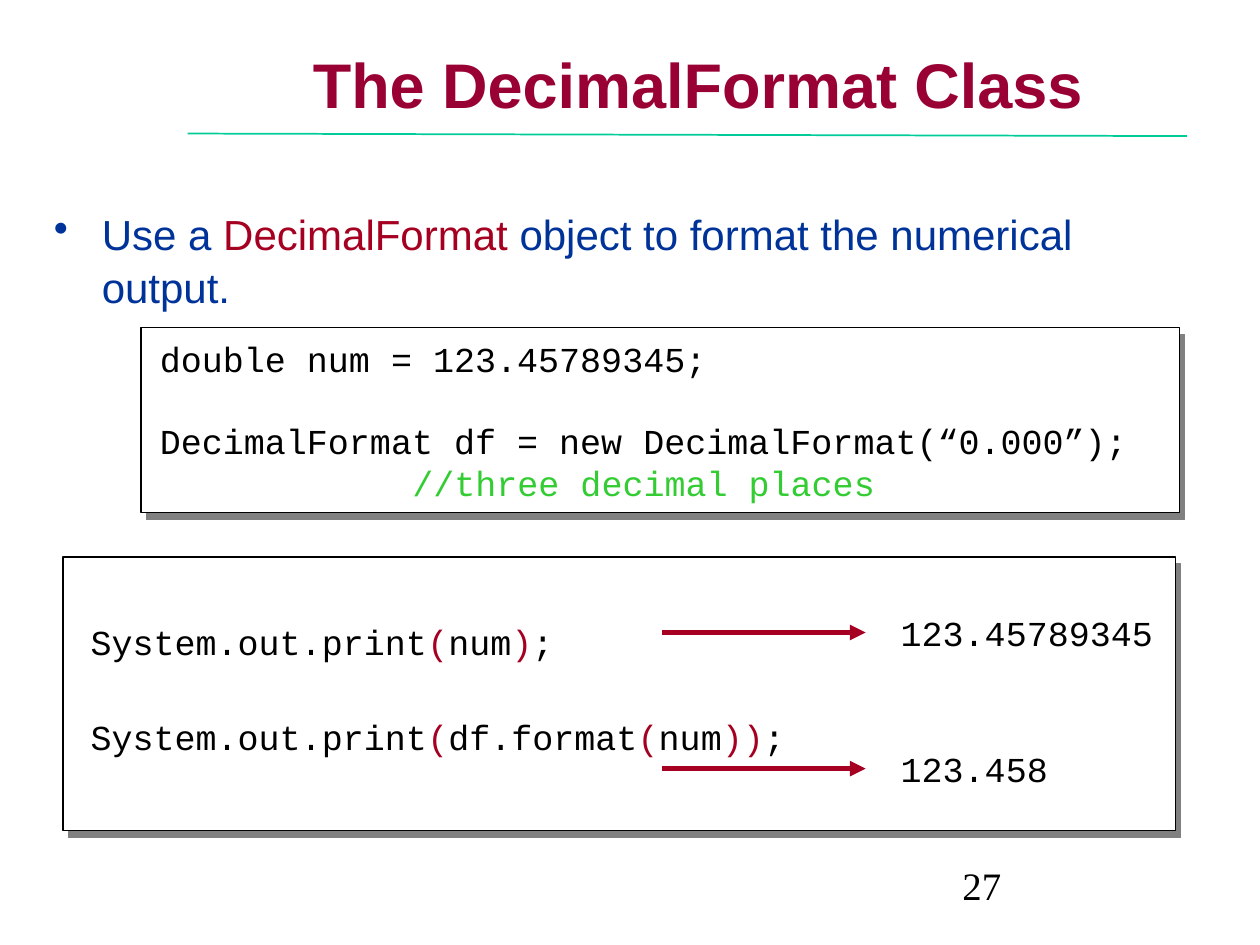
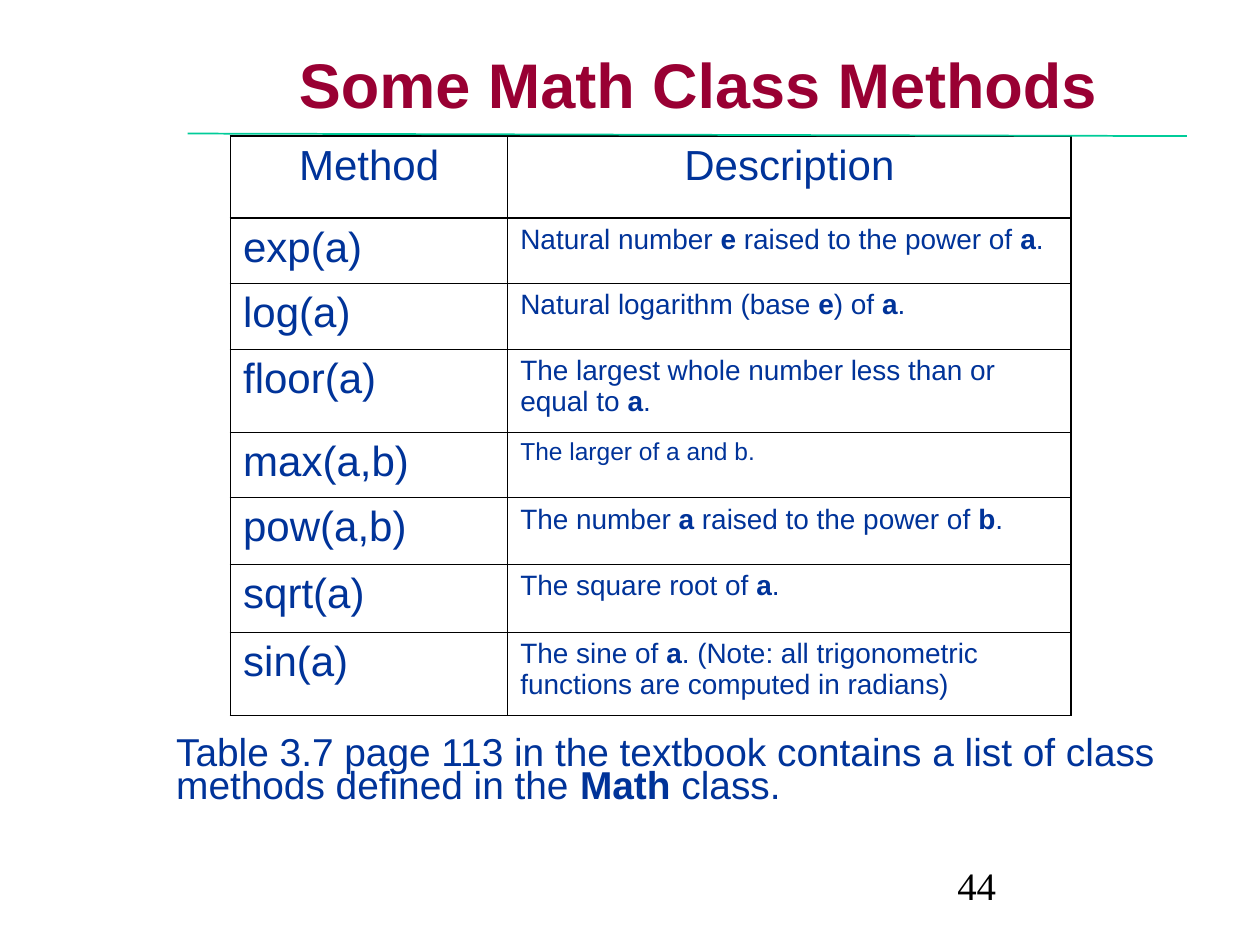
from dataclasses import dataclass

from lxml import etree
from pptx import Presentation
from pptx import util as u
from pptx.dml.color import RGBColor
from pptx.enum import shapes, text
from pptx.oxml import ns

Inches = u.Inches


@dataclass(frozen=True)
class Theme:
    ink: str = "000000"
    paper: str = "FFFFFF"
    title: str = "990033"
    body: str = "003399"
    accent: str = "A50021"
    comment: str = "33CC33"
    rule: str = "00CC99"
    shadow: str = "808080"
    sans: str = "Arial"
    mono: str = "Courier New"
    serif: str = "Times New Roman"
    title_size: float = 36
    body_size: float = 24
    note_size: float = 22.2
    code_size: float = 20
    cell_size: float = 16
    small_size: float = 14
    outer_border: float = 1.08
    inner_border: float = 0.45
    header_border: float = 1.47


def rgb(value):
    return RGBColor.from_string(value)


def add_xml(parent, tag, **attrs):
    return etree.SubElement(parent, ns.qn(tag), attrs)


class Deck:
    def __init__(self, prs, theme):
        self.prs = prs
        self.t = theme
        self.s = None

    def slide(self, title):
        self.s = self.prs.slides.add_slide(self.prs.slide_layouts[5])
        sp = self.s.shapes.title
        sp.left, sp.top = Inches(1.5), Inches(0.25)
        sp.width, sp.height = Inches(8.08), Inches(0.83)
        tf = sp.text_frame
        tf.auto_size = text.MSO_AUTO_SIZE.NONE
        tf.vertical_anchor = text.MSO_ANCHOR.MIDDLE
        p = tf.paragraphs[0]
        p.alignment = text.PP_ALIGN.CENTER
        self.run(p, title, self.t.sans, self.t.title_size, self.t.title, True)

    def run(self, p, words, font, size, color, bold=False):
        r = p.add_run()
        r.text = words
        r.font.name = font
        r.font.size = u.Pt(size)
        r.font.bold = bold
        r.font.color.rgb = rgb(color)

    def runs(self, p, line, font, size, color, accent=None):
        for i, words in enumerate(line.split("|")):
            if words:
                marked = i % 2 == 1
                self.run(p, words, font, size, accent if marked and accent else color,
                         marked and accent is None)

    def text(self, x, y, w, h, lines, font, size, color, accent=None, spacing=None):
        tf = self.s.shapes.add_textbox(Inches(x), Inches(y), Inches(w), Inches(h)).text_frame
        tf.word_wrap = True
        for i, line in enumerate(lines):
            p = tf.add_paragraph() if i else tf.paragraphs[0]
            p.line_spacing = spacing
            self.runs(p, line, font, size, color, accent)
        return tf.paragraphs

    def code(self, x, y, w, h, lines, accent=None, spacing=None):
        return self.text(x, y, w, h, lines, self.t.mono, self.t.code_size, self.t.ink,
                         accent, spacing)

    def indented(self, x, y, w, h, line, size, accent=None, spacing=None, bullet=False):
        p = self.text(x, y, w, h, [line], self.t.sans, size, self.t.body, accent, spacing)[0]
        pPr = p._p.get_or_add_pPr()
        pPr.set("marL", str(Inches(0.38)))
        if bullet:
            pPr.set("indent", str(-Inches(0.38)))
            add_xml(pPr, "a:buChar", char="•")

    def panel(self, x, y, w, h):
        sp = self.s.shapes.add_shape(shapes.MSO_SHAPE.RECTANGLE, Inches(x), Inches(y),
                                     Inches(w), Inches(h))
        sp.fill.solid()
        sp.fill.fore_color.rgb = rgb(self.t.paper)
        sp.line.color.rgb = rgb(self.t.ink)
        sp.line.width = u.Pt(0.75)
        sp.shadow.inherit = False
        effects = sp._element.spPr.find(ns.qn("a:effectLst"))
        shadow = add_xml(effects, "a:outerShdw", dist=str(u.Pt(5)), dir=str(53 * 60000),
                         algn="ctr", rotWithShape="0")
        add_xml(shadow, "a:srgbClr", val=self.t.shadow)

    def line(self, x1, y1, x2, y2, color, width, arrow=False):
        c = self.s.shapes.add_connector(shapes.MSO_CONNECTOR.STRAIGHT, Inches(x1), Inches(y1),
                                        Inches(x2), Inches(y2))
        c.line.color.rgb = rgb(color)
        c.line.width = u.Pt(width)
        spPr = c._element.spPr
        if arrow:
            add_xml(spPr.find(ns.qn("a:ln")), "a:tailEnd", type="triangle")
        add_xml(spPr, "a:effectLst")

    def border(self, cell, widths):
        tcPr = cell._tc.get_or_add_tcPr()
        for i, (side, width) in enumerate(zip("LRTB", widths)):
            ln = etree.Element(ns.qn("a:ln" + side), w=str(u.Pt(width)))
            add_xml(add_xml(ln, "a:solidFill"), "a:srgbClr", val=self.t.ink)
            tcPr.insert(i, ln)

    def table(self, x, y, widths, heights, rows, small_rows=()):
        t = self.t
        tbl = self.s.shapes.add_table(len(rows), len(widths), Inches(x), Inches(y),
                                      Inches(sum(widths)), Inches(sum(heights))).table
        tbl.first_row = tbl.horz_banding = False
        for col, width in zip(tbl.columns, widths):
            col.width = Inches(width)
        for row, height in zip(tbl.rows, heights):
            row.height = Inches(height)
        across = [t.outer_border] + [t.inner_border] * (len(widths) - 1) + [t.outer_border]
        down = [t.outer_border, t.header_border]
        down += [t.inner_border] * (len(rows) - 2) + [t.outer_border]
        for i, row in enumerate(rows):
            for j, words in enumerate(row):
                cell = tbl.cell(i, j)
                cell.fill.background()
                self.border(cell, (across[j], across[j + 1], down[i], down[i + 1]))
                p = cell.text_frame.paragraphs[0]
                size = t.body_size
                if i == 0:
                    p.alignment = text.PP_ALIGN.CENTER
                elif j:
                    size = t.small_size if i in small_rows else t.cell_size
                self.runs(p, words, t.sans, size, t.body)

    def furniture(self, number, x):
        self.line(1.49, 1.06, 9.42, 1.08, self.t.rule, 1)
        self.text(x, 6.83, 2.1, 0.5, [number], self.t.serif, self.t.note_size, self.t.ink,
                  spacing=0.9)


def decimal_format(d):
    t = d.t
    d.slide("The DecimalFormat Class")
    d.indented(0.33, 1.58, 9.33, 0.93,
               "Use a |DecimalFormat| object to format the numerical output.",
               t.body_size, t.accent, 1.06, bullet=True)
    d.panel(1.12, 2.6, 8.24, 1.47)
    declaration = d.code(1.17, 2.63, 8.46, 1.44, [
        "double num = 123.45789345;",
        "DecimalFormat df = new DecimalFormat(“0.000”);",
        " " * 12 + "|//three decimal places",
    ], t.comment)
    declaration[1].space_before = u.Pt(22.7)
    d.panel(0.5, 4.42, 8.83, 2.17)
    d.code(0.62, 4.46, 6.45, 1.6, [
        "System.out.print|(|num|)|;",
        "System.out.print|(|df.format|(|num|))|;",
    ], t.accent, 2.25)
    for y, output in ((5.02, "123.45789345"), (6.1, "123.458")):
        d.line(5.25, y, 6.87, y, t.accent, 3, arrow=True)
        d.code(7.05, y - 0.22, 2.4, 0.45, [output])
    d.furniture("27", 7.54)


def math_methods(d):
    d.slide("Some Math Class Methods")
    rows = [
        ("Method", "Description"),
        ("exp(a)", "Natural number |e| raised to the power of |a|."),
        ("log(a)", "Natural logarithm (base |e|) of |a|."),
        ("floor(a)", "The largest whole number less than or equal to |a|."),
        ("max(a,b)", "The larger of a and b."),
        ("pow(a,b)", "The number |a| raised to the power of |b|."),
        ("sqrt(a)", "The square root of |a|."),
        ("sin(a)", "The sine of |a|. (Note: all trigonometric functions are "
                   "computed in radians)"),
    ]
    d.table(1.83, 1.08, (2.2, 4.47), (0.65, 0.52, 0.52, 0.66, 0.52, 0.53, 0.54, 0.66),
            rows, small_rows=(4,))
    d.indented(0.92, 5.83, 8.5, 0.67,
               "Table 3.7 page 113 in the textbook contains a list of class methods "
               "defined in the |Math| class.", d.t.note_size, spacing=0.7)
    d.furniture("44", 7.5)


def main():
    prs = Presentation()
    prs.slide_width, prs.slide_height = Inches(10), Inches(7.5)
    d = Deck(prs, Theme())
    decimal_format(d)
    math_methods(d)
    prs.save("out.pptx")


if __name__ == "__main__":
    main()
